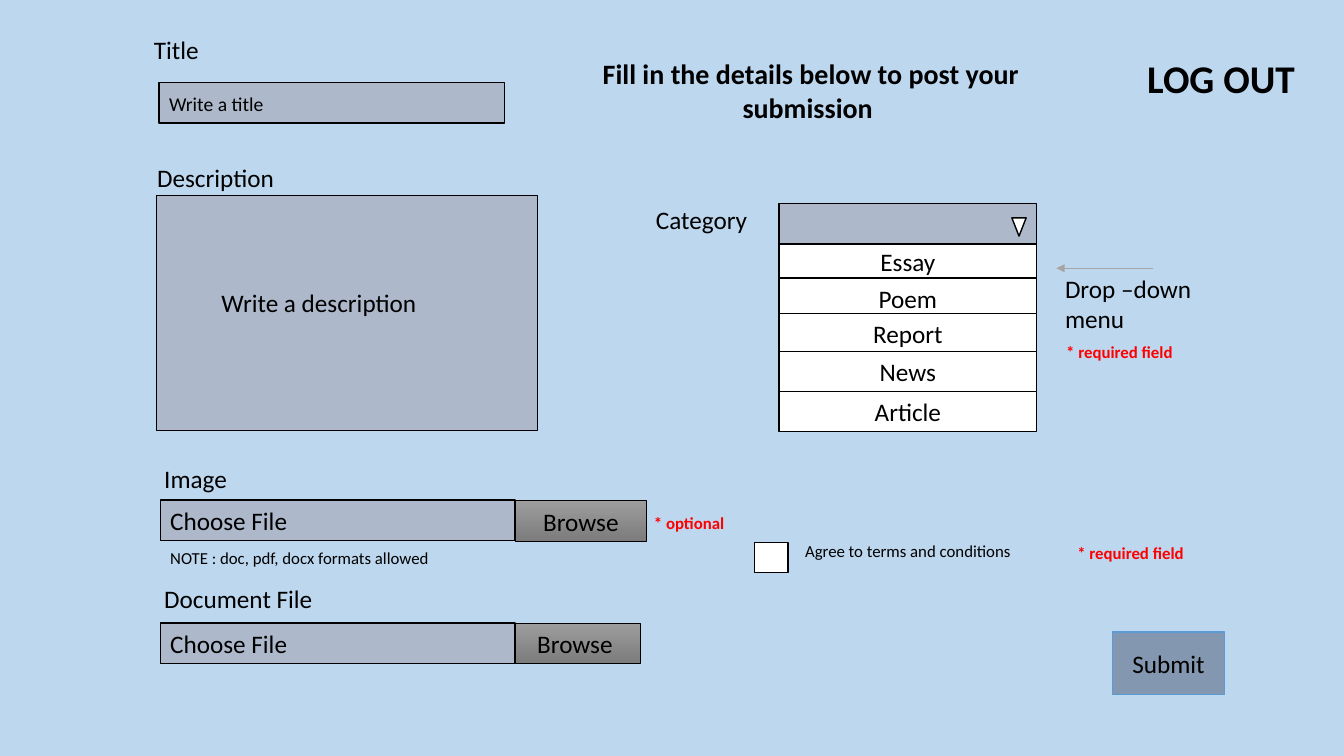
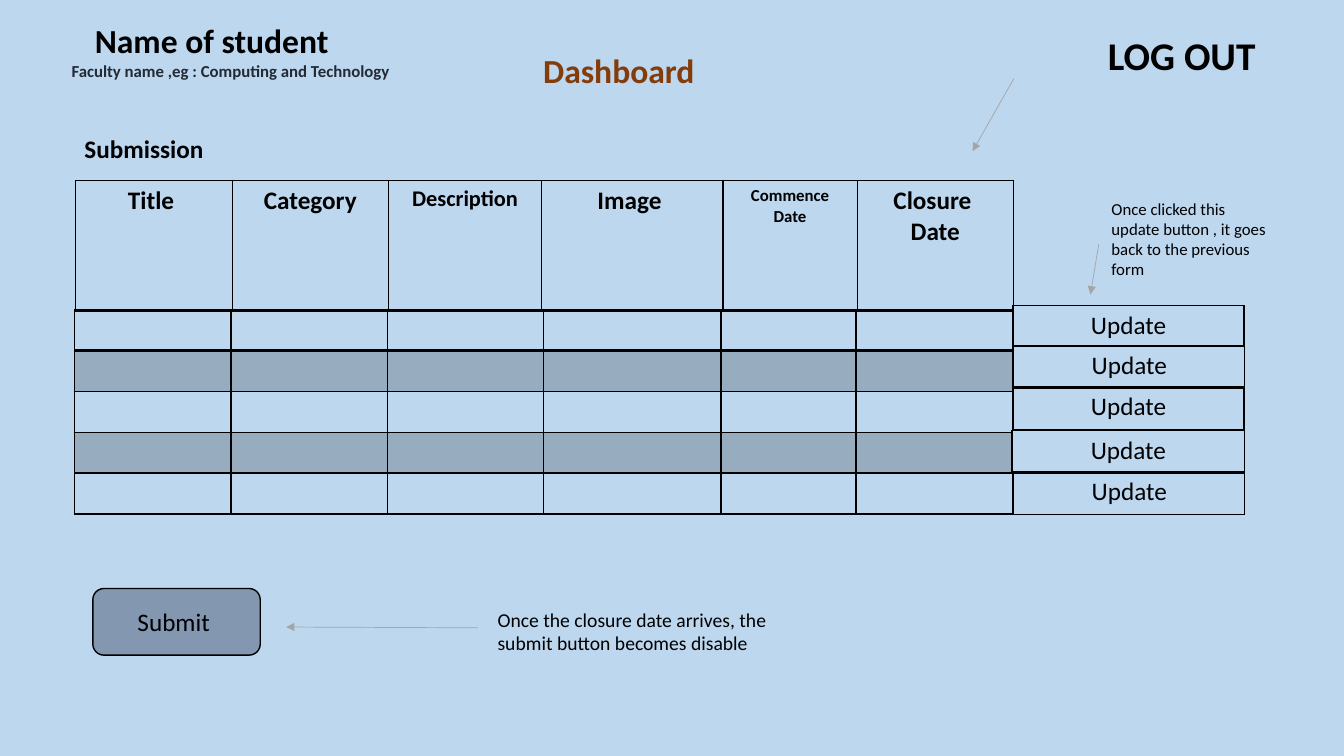
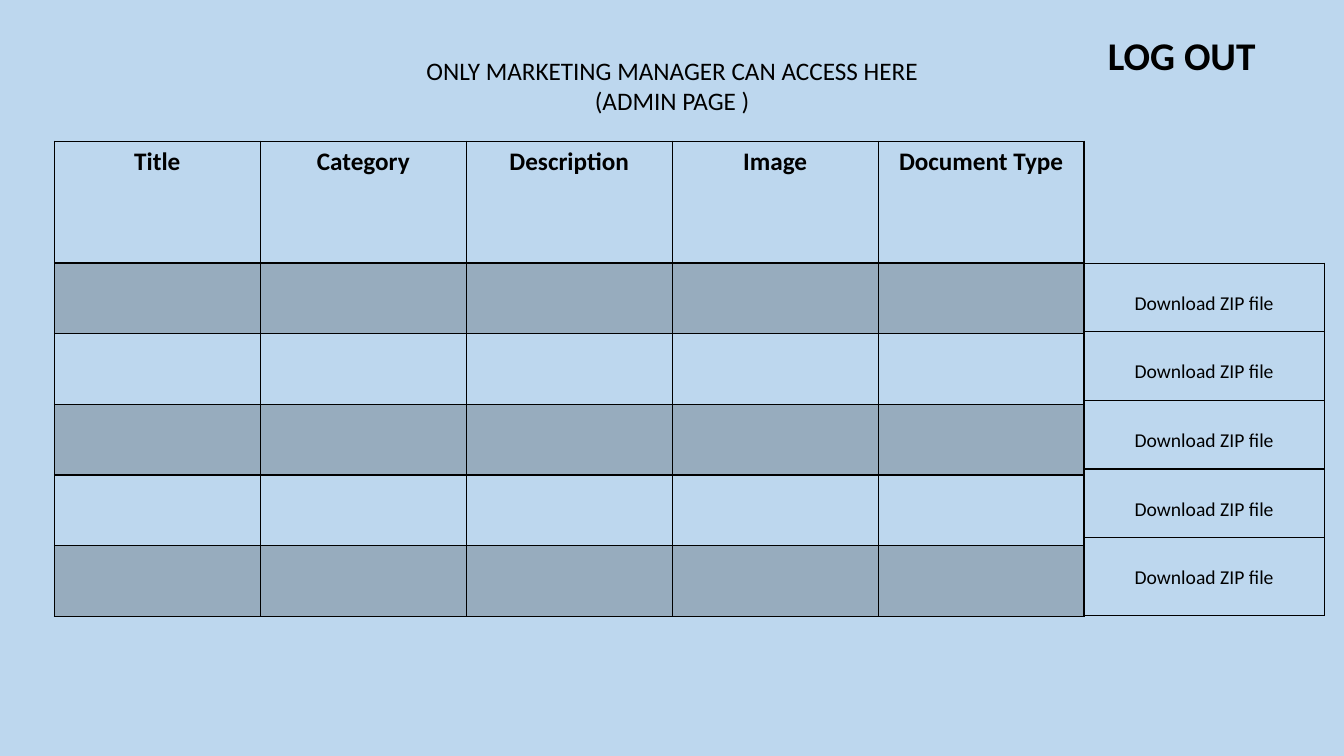
"""Build three wireframe slides for a student submission portal."""
from lxml.etree import SubElement
from pptx import Presentation
from pptx.dml.color import RGBColor
from pptx.enum.shapes import MSO_CONNECTOR, MSO_SHAPE
from pptx.enum.text import MSO_ANCHOR, MSO_AUTO_SIZE, PP_ALIGN
from pptx.oxml.ns import qn
from pptx.util import Cm, Pt

BLACK = RGBColor(0x00, 0x00, 0x00)
WHITE = RGBColor(0xFF, 0xFF, 0xFF)
RED = RGBColor(0xFF, 0x00, 0x00)
BROWN = RGBColor(0x84, 0x3C, 0x0B)
NAVY = RGBColor(0x22, 0x2A, 0x35)
SKY = RGBColor(0xBD, 0xD7, 0xEE)
FIELD = RGBColor(0xAD, 0xB9, 0xCA)
BUTTON = RGBColor(0x84, 0x97, 0xB0)
BLUE = RGBColor(0x5B, 0x9B, 0xD5)
ARROW = RGBColor(0xA5, 0xA5, 0xA5)
LIGHT_GREY = RGBColor(0x9D, 0x9D, 0x9D)
DARK_GREY = RGBColor(0x7C, 0x7C, 0x7C)

LEFT, CENTER = PP_ALIGN.LEFT, PP_ALIGN.CENTER
BOX_FORMAT = {
    "word_wrap": True,
    "vertical_anchor": MSO_ANCHOR.TOP,
    "auto_size": MSO_AUTO_SIZE.SHAPE_TO_FIT_TEXT,
}
HEADING = {"bold": True, "align": CENTER}
LOG_OUT = {"size": 28, **HEADING}
REQUIRED = {"size": 12, "bold": True, "color": RED}


def write(frame, text, size=18, bold=False, color=BLACK, align=LEFT):
    font_format = {"name": "Calibri", "size": Pt(size), "bold": bold}
    frame.text = text
    for paragraph in frame.paragraphs:
        paragraph.alignment = align
        for run in paragraph.runs:
            for name, value in font_format.items():
                setattr(run.font, name, value)
            run.font.color.rgb = color


def add_grid(slide, left, top, widths, heights):
    table = slide.shapes.add_table(
        len(heights), len(widths), Cm(left), Cm(top), Cm(sum(widths)), Cm(sum(heights))
    ).table
    table.first_row = table.horz_banding = False
    for column, width in zip(table.columns, widths):
        column.width = Cm(width)
    for row_index, (row, height) in enumerate(zip(table.rows, heights)):
        row.height = Cm(height)
        for cell in row.cells:
            properties = cell._tc.get_or_add_tcPr()
            for side in "LRTB":
                thick = side == "B" and row_index == 0 and len(widths) > 1
                border = SubElement(properties, qn(f"a:ln{side}"), w=str(Pt(2 if thick else 1)))
                fill = SubElement(border, qn("a:solidFill"))
                SubElement(fill, qn("a:srgbClr"), val=str(BLACK))
            if row_index % 2:
                cell.fill.solid()
                cell.fill.fore_color.rgb = BLACK
                SubElement(properties[-1][0], qn("a:alpha"), val="20000")
            else:
                cell.fill.background()
    return table


presentation = Presentation()
presentation.slide_width, presentation.slide_height = Cm(33.87), Cm(19.05)
background = presentation.slide_master.background.fill
background.solid()
background.fore_color.rgb = SKY

titles = [
    ("Fill in the details below to post your submission ", (13.92, 1.3, 13.03, 1.96),
     {"size": 20, **HEADING}),
    ("Dashboard", (8.89, 1.14, 13.41, 1.27), {"size": 24, "color": BROWN, **HEADING}),
    ("ONLY MARKETING MANAGER CAN ACCESS HERE (ADMIN PAGE )", (10.44, 1.27, 13, 1.8),
     {"align": CENTER}),
]
for text, box, text_format in titles:
    title = presentation.slides.add_slide(presentation.slide_layouts[5]).shapes.title
    title.left, title.top, title.width, title.height = map(Cm, box)
    for name, value in BOX_FORMAT.items():
        setattr(title.text_frame, name, value)
    write(title.text_frame, text, **text_format)
form, dashboard, admin = presentation.slides

file_rows = [(12.6, 13, 12.62), (15.7, 12.85, 15.7)]
options = zip(["Essay", "Poem", "Report", "News", "Article"], [6.07, 7.01, 7.9, 8.86, 9.86])
RECTANGLE = MSO_SHAPE.RECTANGLE
shapes = [
    (form, RECTANGLE, (4.01, 2.08, 8.71, 1.02), FIELD, "", LEFT),
    (form, RECTANGLE, (3.94, 4.93, 9.6, 5.92), FIELD, "", LEFT),
    (form, RECTANGLE, (19.02, 13.67, 0.84, 0.76), WHITE, "", LEFT),
    (form, RECTANGLE, (28.04, 15.93, 2.82, 1.57), BUTTON, "Submit", CENTER),
    (dashboard, MSO_SHAPE.ROUNDED_RECTANGLE, (2.34, 14.83, 4.22, 1.68), BUTTON, "Submit ", CENTER),
]
for field_top, browse_left, browse_top in file_rows:
    shapes += [
        (form, RECTANGLE, (browse_left, browse_top, 3.28, 1.02), None, "Browse", CENTER),
        (form, RECTANGLE, (4.04, field_top, 8.94, 1.02), FIELD, "Choose File", LEFT),
    ]
for option, top in options:
    shapes.append((form, RECTANGLE, (19.63, top, 6.5, 1.02), WHITE, option, CENTER))
shapes += [
    (form, RECTANGLE, (19.63, 5.13, 6.5, 1.02), FIELD, "", LEFT),
    (form, MSO_SHAPE.ISOSCELES_TRIANGLE, (25.5, 5.49, 0.36, 0.46), WHITE, "", LEFT),
]
for slide, preset, box, color, text, align in shapes:
    shape = slide.shapes.add_shape(preset, *map(Cm, box))
    shape.shadow.inherit = False
    shape.line.color.rgb = BLUE if text == "Submit" else BLACK
    shape.line.width = Pt(1 if color else 0.5)
    if color:
        shape.fill.solid()
        shape.fill.fore_color.rgb = color
    else:
        shape.fill.gradient()
        shape.fill.gradient_angle = 270
        for stop, shade in zip(shape.fill.gradient_stops, (LIGHT_GREY, DARK_GREY)):
            stop.color.rgb = shade
    if preset == MSO_SHAPE.ISOSCELES_TRIANGLE:
        shape.rotation = 180
    if text:
        shape.text_frame.vertical_anchor = MSO_ANCHOR.MIDDLE
        write(shape.text_frame, text, align=align)

header = add_grid(dashboard, 1.91, 4.55, [3.94, 3.94, 3.86, 4.57, 3.38, 3.94], [3.28])
headings = [("Title ", 18), ("Category", 18), ("Description", 16), ("Image ", 18),
            ("Commence\nDate", 12), ("Closure \nDate", 18)]
for cell, (text, size) in zip(header.rows[0].cells, headings):
    write(cell.text_frame, text, size=size, **HEADING)
add_grid(dashboard, 1.88, 7.8, [3.94, 3.94, 3.94, 4.47, 3.4, 3.94], [1.03] * 5)

update_boxes = [(25.53, 7.7, 5.82, 1.02), (25.55, 8.71, 5.82, 1.07), (25.53, 9.75, 5.82, 1.07),
                (25.5, 10.85, 5.87, 1.07), (25.55, 11.89, 5.82, 1.07)]
for left, top, width, height in update_boxes:
    update = add_grid(dashboard, left, top, [width], [height])
    write(update.cell(0, 0).text_frame, "Update", align=CENTER)

submissions = add_grid(admin, 1.37, 3.56, [5.19] * 5, [3.07] + [1.78] * 5)
columns = ["Title", "Category", "Description", "Image", "Document Type"]
for cell, text in zip(submissions.rows[0].cells, columns):
    write(cell.text_frame, text, **HEADING)
for index, height in enumerate([1.73] * 4 + [1.96]):
    download = add_grid(admin, 27.31, 6.63 + 1.73 * index, [6.07], [height]).cell(0, 0)
    download.margin_top = Cm(0.72)
    write(download.text_frame, "Download ZIP file", size=14, align=CENTER)

arrows = [
    (form, (29.06, 6.76, 26.62, 6.76)),
    (dashboard, (27.69, 6.15, 27.48, 7.42)),
    (dashboard, (25.55, 1.98, 24.51, 3.81)),
    (dashboard, (12.04, 15.82, 7.21, 15.8)),
]
for slide, ends in arrows:
    arrow = slide.shapes.add_connector(MSO_CONNECTOR.STRAIGHT, *map(Cm, ends))
    arrow.line.color.rgb = ARROW
    arrow.line.width = Pt(0.5)
    properties = arrow.element.spPr
    SubElement(properties.find(qn("a:ln")), qn("a:tailEnd"), type="triangle")
    SubElement(properties, qn("a:effectLst"))

labels = [
    (form, "Title", (3.63, 0.74, 2.57, 1.02), {}),
    (form, "Description ", (3.71, 3.96, 9.65, 1.02), {}),
    (form, "Image ", (3.89, 11.56, 9.65, 1.02), {}),
    (form, "Document File ", (3.89, 14.58, 9.65, 1.02), {}),
    (form, "Category ", (16.28, 5.03, 9.65, 1.02), {}),
    (form, "Write a title", (4.01, 2.18, 8.03, 0.86), {"size": 14}),
    (form, "Write a description", (5.33, 7.11, 8.03, 1.02), {}),
    (form, "Drop –down menu", (26.59, 6.76, 4.45, 1.8), {}),
    (form, "NOTE : doc, pdf, docx formats allowed", (4.04, 13.67, 10.03, 0.76), {"size": 12}),
    (form, "Agree to terms and conditions", (20.04, 13.51, 10.03, 0.76), {"size": 12}),
    (form, "* required field", (26.9, 13.56, 3.71, 0.76), REQUIRED),
    (form, "* required field", (26.62, 8.48, 3.71, 0.76), REQUIRED),
    (form, "* optional", (16.23, 12.8, 3.71, 0.76), REQUIRED),
    (form, "LOG OUT", (27.61, 1.24, 6.32, 1.45), LOG_OUT),
    (dashboard, "Submission ", (1.88, 3.23, 8.79, 1.02), {"bold": True}),
    (dashboard, "Once clicked this update button , it goes back to the previous form ",
     (27.76, 4.88, 4.57, 2.31), {"size": 12}),
    (dashboard, "Name of student", (-1.37, 0.38, 13.41, 1.27), {"size": 24, **HEADING}),
    (dashboard, "Faculty name ,eg : Computing and Technology", (-0.89, 1.4, 13.41, 0.76),
     {"size": 12, "color": NAVY, **HEADING}),
    (dashboard, "Once the closure date arrives, the submit button becomes disable",
     (12.29, 15.19, 8.2, 2.06), {"size": 14}),
    (dashboard, "LOG OUT", (26.62, 0.66, 6.32, 1.45), LOG_OUT),
    (admin, "LOG OUT", (26.62, 0.66, 6.32, 1.45), LOG_OUT),
]
for slide, text, box, text_format in labels:
    frame = slide.shapes.add_textbox(*map(Cm, box)).text_frame
    for name, value in BOX_FORMAT.items():
        setattr(frame, name, value)
    write(frame, text, **text_format)

presentation.save("out.pptx")
